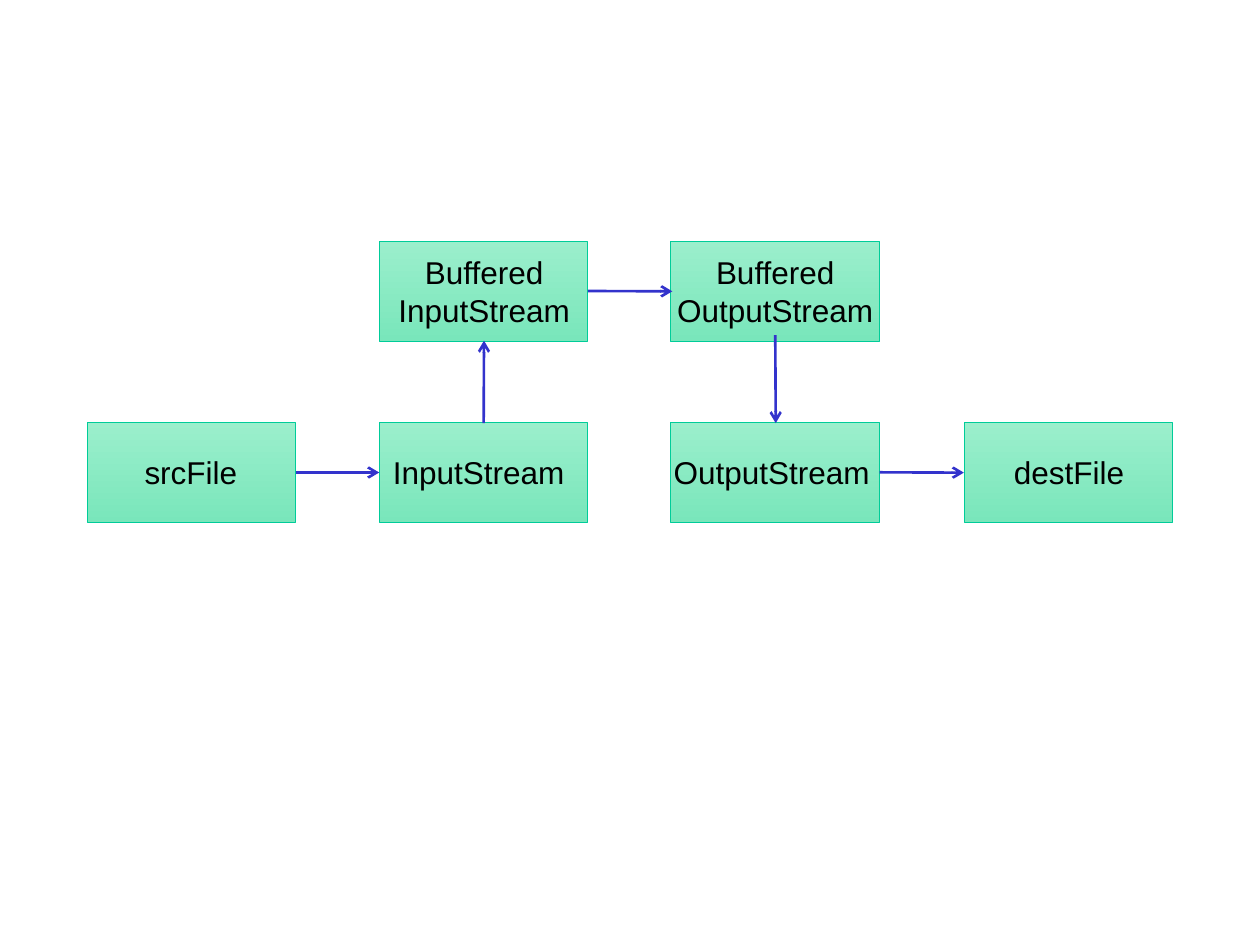
from lxml.etree import SubElement
from pptx import Presentation
from pptx.dml.color import RGBColor
from pptx.enum.shapes import MSO_CONNECTOR, MSO_SHAPE
from pptx.enum.text import MSO_AUTO_SIZE, PP_ALIGN
from pptx.oxml.ns import qn
from pptx.util import Pt

BOX_W, BOX_H = 119, 57
COLUMNS = [50, 216.7, 383.4, 551.2]
BUFFERED_TOP, STREAM_TOP = 137.9, 241.5

# column, row top, lines, label left, label width
STAGES = [
    (0, STREAM_TOP, ["srcFile"], 75.6, 67),
    (1, STREAM_TOP, ["InputStream"], 217.4, 112.3),
    (2, STREAM_TOP, ["OutputStream"], 378, 126),
    (3, STREAM_TOP, ["destFile"], 572.4, 77),
    (1, BUFFERED_TOP, ["Buffered", "InputStream"], 220.5, 112.3),
    (2, BUFFERED_TOP, ["Buffered", "OutputStream"], 380, 126),
]

# from x, from y, to x, to y
ARROWS = [
    (169, 270, 216.7, 270),
    (276.4, 241.8, 276.6, 194.7),
    (336, 166.3, 384.2, 166.5),
    (443, 191.5, 443.3, 241.8),
    (502.6, 269.9, 550.8, 270.1),
]


def color(hex_value):
    return RGBColor.from_string(hex_value)


def add_box(slide, left, top):
    sp = slide.shapes.add_shape(MSO_SHAPE.RECTANGLE, Pt(left), Pt(top),
                                Pt(BOX_W), Pt(BOX_H))
    sp.shadow.inherit = False
    sp.fill.gradient()
    sp.fill.gradient_angle = 270
    for stop, shade in zip(sp.fill.gradient_stops, ("9BEFCC", "79E6BB")):
        stop.color.rgb = color(shade)
    sp.line.color.rgb = color("00CC99")
    sp.line.width = Pt(0.5)


def add_label(slide, lines, left, top, width):
    """Put a text box at mid-height of the stage that starts at top."""
    height = 7.2 + 21.6 * len(lines)
    sp = slide.shapes.add_textbox(Pt(left), Pt(top + (BOX_H - height) / 2),
                                  Pt(width), Pt(height))
    tf = sp.text_frame
    frame_format = {"word_wrap": False, "auto_size": MSO_AUTO_SIZE.NONE,
                    "margin_left": 0, "margin_right": 0}
    for name, value in frame_format.items():
        setattr(tf, name, value)
    tf.text = "\n".join(lines)
    for p in tf.paragraphs:
        p.alignment = PP_ALIGN.CENTER
        for r in p.runs:
            for name, value in {"name": "Arial", "size": Pt(18)}.items():
                setattr(r.font, name, value)
            r.font.color.rgb = color("000000")


def add_arrow(slide, *ends):
    line = slide.shapes.add_connector(MSO_CONNECTOR.STRAIGHT, *map(Pt, ends))
    line.line.color.rgb = color("3333CC")
    line.line.width = Pt(1.5)
    properties = line._element.spPr
    SubElement(properties.get_or_add_ln(), qn("a:tailEnd"), type="arrow")
    SubElement(properties, qn("a:effectLst"))


def main():
    prs = Presentation()
    prs.slide_width, prs.slide_height = Pt(720), Pt(540)
    slide = prs.slides.add_slide(prs.slide_layouts[6])
    for column, top, lines, left, width in STAGES:
        add_box(slide, COLUMNS[column], top)
        add_label(slide, lines, left, top, width)
    for ends in ARROWS:
        add_arrow(slide, *ends)
    prs.save("out.pptx")


if __name__ == "__main__":
    main()
